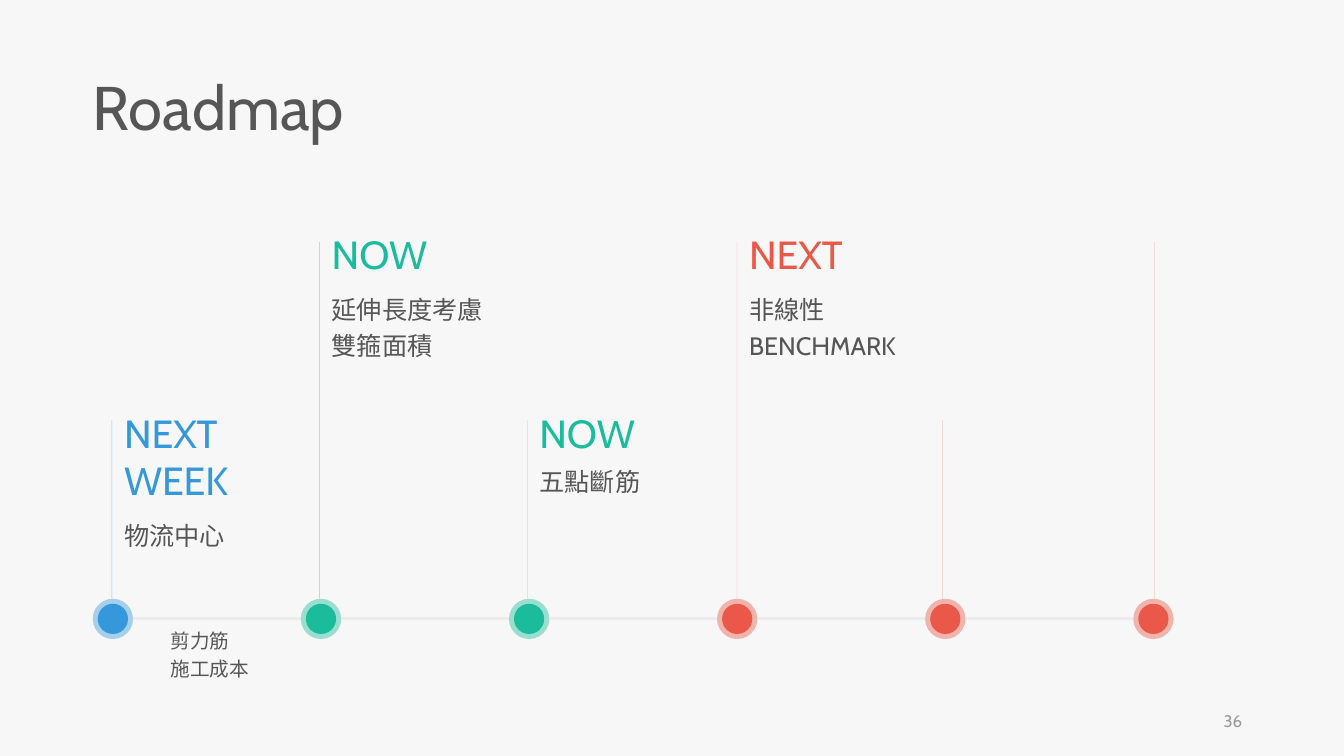
from dataclasses import dataclass

from lxml import etree
from pptx import Presentation
from pptx.dml.color import RGBColor
from pptx.enum.shapes import MSO_CONNECTOR, MSO_SHAPE
from pptx.enum.text import MSO_ANCHOR, MSO_AUTO_SIZE, PP_ALIGN
from pptx.oxml.ns import qn
from pptx.util import Inches, Pt

STRAIGHT = MSO_CONNECTOR.STRAIGHT
OVAL = MSO_SHAPE.OVAL
TOP, MIDDLE = MSO_ANCHOR.TOP, MSO_ANCHOR.MIDDLE
LEFT, RIGHT = PP_ALIGN.LEFT, PP_ALIGN.RIGHT
NO_AUTOFIT = MSO_AUTO_SIZE.NONE

FONT = "Cabin"
COLORS = {
    "background": "F7F7F7",
    "text": "565656",
    "number": "9A9A9A",
    "axis": "EDECEC",
    "blue": "3498DB",
    "green": "1ABC9C",
    "red": "E95849",
}
TITLE_ONLY_LAYOUT = 5

AXIS_Y = 6.14
FIRST_CENTER = 1.12
CENTER_STEP = 2.064
HALO_SIZE = 0.4
DOT_SIZE = 0.3
HALO_ALPHA = 42
STEM_ALPHA = 51
TALL, SHORT = 2.4, 4.17  # top ends of the stems
HEADING_RISE = 0.16
CAPTION_WIDTH = 1.85
CAPTION_INDENT = 0.12


@dataclass(frozen=True)
class TextStyle:
    size: float
    color: str
    line_spacing: float = 1.0
    space_before: float = 0
    alignment: PP_ALIGN = LEFT


@dataclass(frozen=True)
class Box:
    left: float
    top: float
    width: float
    height: float


@dataclass(frozen=True)
class Milestone:
    color: str
    stem_x: float
    stem_top: float
    heading: str = ""
    heading_height: float = 0.57
    details: tuple[str, ...] = ()
    detail_spacing: float = 1.2


MILESTONES = [
    Milestone("blue", 1.11, SHORT, "NEXT WEEK", 1.04, ("物流中心",)),
    Milestone("green", 3.17, TALL, "NOW", details=("延伸長度考慮", "雙箍面積")),
    Milestone("green", 5.23, SHORT, "NOW", details=("五點斷筋",), detail_spacing=1.0),
    Milestone("red", 7.31, TALL, "NEXT", details=("非線性 BENCHMARK",)),
    Milestone("red", 9.35, SHORT),
    Milestone("red", 11.45, TALL),
]


def rgb(name: str) -> RGBColor:
    return RGBColor.from_string(COLORS[name])


def set_alpha(shape, percent: int) -> None:
    """Make the one solid colour of a shape or line partly transparent."""
    color = next(shape._element.spPr.iter(qn("a:srgbClr")))
    etree.SubElement(color, qn("a:alpha")).set("val", str(percent * 1000))


def write(frame, lines: tuple[str, ...], style: TextStyle,
          indent: float = 0.0, anchor=TOP, wrap: bool = True) -> None:
    frame.auto_size = NO_AUTOFIT
    frame.word_wrap = wrap
    frame.vertical_anchor = anchor
    frame.margin_left = Inches(indent)
    frame.margin_right = Inches(0.1)
    frame.margin_top = frame.margin_bottom = Inches(0.05)
    for index, line in enumerate(lines):
        paragraph = frame.add_paragraph() if index else frame.paragraphs[0]
        paragraph.alignment = style.alignment
        paragraph.line_spacing = style.line_spacing
        paragraph.space_before = Pt(style.space_before)
        run = paragraph.add_run()
        run.text = line
        run.font.name = FONT
        run.font.size = Pt(style.size)
        run.font.color.rgb = rgb(style.color)


def add_text(slide, box: Box, lines: tuple[str, ...], style: TextStyle, **layout) -> None:
    shape = slide.shapes.add_textbox(
        Inches(box.left), Inches(box.top), Inches(box.width), Inches(box.height))
    write(shape.text_frame, lines, style, **layout)


def add_line(slide, start: tuple[float, float], end: tuple[float, float],
             color: str, width: float):
    line = slide.shapes.add_connector(
        STRAIGHT, *(Inches(value) for value in (*start, *end)))
    line.line.color.rgb = rgb(color)
    line.line.width = Pt(width)
    etree.SubElement(line._element.spPr, qn("a:effectLst"))
    return line


def add_disc(shapes, center: float, size: float, color: str):
    disc = shapes.add_shape(OVAL, Inches(center - size / 2), Inches(AXIS_Y - size / 2),
                            Inches(size), Inches(size))
    disc.shadow.inherit = False
    disc.fill.solid()
    disc.fill.fore_color.rgb = rgb(color)
    disc.line.fill.background()
    return disc


def add_marker(slide, center: float, color: str) -> None:
    group = slide.shapes.add_group_shape()
    set_alpha(add_disc(group.shapes, center, HALO_SIZE, color), HALO_ALPHA)
    add_disc(group.shapes, center, DOT_SIZE, color)


def add_milestone(slide, milestone: Milestone, center: float) -> None:
    stem = add_line(slide, (milestone.stem_x, AXIS_Y - HALO_SIZE / 2),
                    (milestone.stem_x, milestone.stem_top), milestone.color, 0.25)
    set_alpha(stem, STEM_ALPHA)
    add_marker(slide, center, milestone.color)
    if not milestone.heading:
        return
    top = milestone.stem_top - HEADING_RISE
    heading_box = Box(milestone.stem_x, top, CAPTION_WIDTH, milestone.heading_height)
    add_text(slide, heading_box, (milestone.heading,),
             TextStyle(28, milestone.color), indent=CAPTION_INDENT)
    detail_box = Box(milestone.stem_x, top + milestone.heading_height, CAPTION_WIDTH, 0.83)
    add_text(slide, detail_box, milestone.details,
             TextStyle(18, "text", milestone.detail_spacing), indent=CAPTION_INDENT)


def add_title(slide, text: str) -> None:
    title = slide.shapes.title
    title.left, title.top = Inches(0.92), Inches(0.72)
    title.width, title.height = Inches(4.9), Inches(0.77)
    write(title.text_frame, (text,), TextStyle(44, "text", 0.9, 10))


def main() -> None:
    presentation = Presentation()
    presentation.slide_width, presentation.slide_height = Inches(13.33), Inches(7.5)
    slide = presentation.slides.add_slide(presentation.slide_layouts[TITLE_ONLY_LAYOUT])
    slide.background.fill.solid()
    slide.background.fill.fore_color.rgb = rgb("background")

    add_title(slide, "Roadmap")
    for index, milestone in enumerate(MILESTONES):
        center = FIRST_CENTER + index * CENTER_STEP
        if index:
            add_line(slide, (center - CENTER_STEP + HALO_SIZE / 2, AXIS_Y),
                     (center - HALO_SIZE / 2, AXIS_Y), "axis", 2.25)
        add_milestone(slide, milestone, center)

    add_text(slide, Box(1.69, AXIS_Y, 0.89, 0.67), ("剪力筋", "施工成本"),
             TextStyle(14, "text", 1.2), wrap=False)
    add_text(slide, Box(9.42, 6.95, 3, 0.4), ("36",),
             TextStyle(12, "number", alignment=RIGHT), anchor=MIDDLE)
    presentation.save("out.pptx")


if __name__ == "__main__":
    main()
